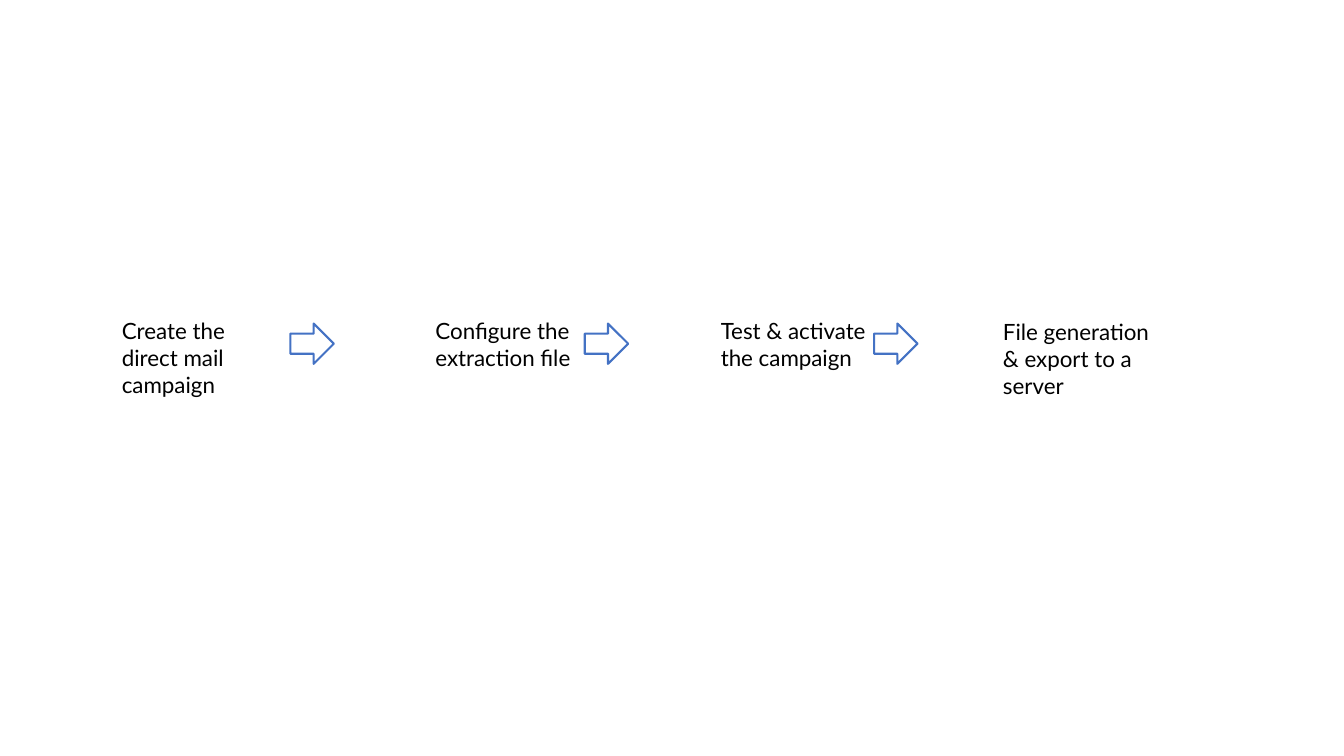
from pptx import Presentation
from pptx.dml.color import RGBColor
from pptx.enum.shapes import MSO_SHAPE
from pptx.enum.text import MSO_AUTO_SIZE
from pptx.util import Inches, Pt

SLIDE_WIDTH, SLIDE_HEIGHT = Inches(13.33), Inches(7.5)
STEP_HEIGHT = 8.53
ARROW_TOP, ARROW_WIDTH, ARROW_HEIGHT = 42.8, 3.23, 5.33
STEPS = [
    ("Create the direct mail campaign", 8.33, 41.33, 12.68),
    ("Configure the extraction file", 31.66, 41.33, 11.63),
    ("Test & activate the campaign", 52.89, 41.33, 12.45),
    ("File generation & export to a server", 73.89, 41.47, 13.8),
]
ARROW_LEFTS = [21.61, 43.51, 65.04]


def color(hex_value):
    """Turn a hex string into a colour."""
    return RGBColor.from_string(hex_value)


def place(left, top, width, height):
    """Turn percentages of the slide's size into lengths."""
    return (
        int(SLIDE_WIDTH * left / 100),
        int(SLIDE_HEIGHT * top / 100),
        int(SLIDE_WIDTH * width / 100),
        int(SLIDE_HEIGHT * height / 100),
    )


def add_step(slide, text, left, top, width):
    """Add the label of one process step."""
    shape = slide.shapes.add_textbox(*place(left, top, width, STEP_HEIGHT))
    text_frame = shape.text_frame
    text_frame.word_wrap = True
    text_frame.auto_size = MSO_AUTO_SIZE.SHAPE_TO_FIT_TEXT
    text_frame.text = text
    font = text_frame.paragraphs[0].runs[0].font
    font.name = "Lato"
    font.size = Pt(16)
    font.color.rgb = color("000000")


def add_arrow(slide, left):
    """Add an outlined arrow leading to the next step."""
    shape = slide.shapes.add_shape(
        MSO_SHAPE.RIGHT_ARROW, *place(left, ARROW_TOP, ARROW_WIDTH, ARROW_HEIGHT)
    )
    shape.shadow.inherit = False
    shape.fill.background()
    shape.line.color.rgb = color("4472C4")
    shape.line.width = Pt(1.5)


def main():
    """Build the direct mail process slide."""
    presentation = Presentation()
    presentation.slide_width = SLIDE_WIDTH
    presentation.slide_height = SLIDE_HEIGHT
    slide = presentation.slides.add_slide(presentation.slide_layouts[6])
    for step in STEPS:
        add_step(slide, *step)
    for left in ARROW_LEFTS:
        add_arrow(slide, left)
    presentation.save("out.pptx")


if __name__ == "__main__":
    main()
